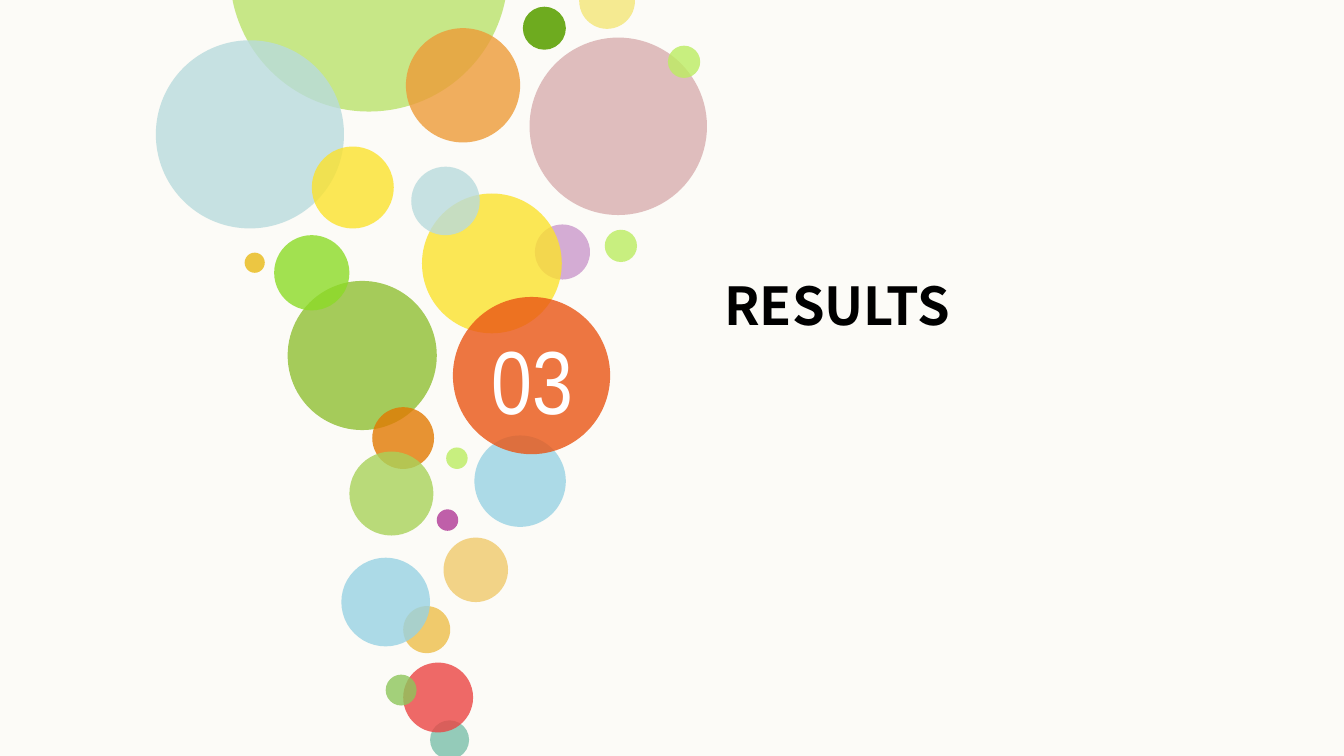
import pptx
import pptx.util
import pptx.dml.color
import pptx.enum.shapes
import pptx.enum.text
import pptx.oxml
import pptx.oxml.ns
import lxml.etree
from dataclasses import dataclass


@dataclass(frozen=True)
class Theme:
    background: str = "FCFBF7"
    title: str = "000000"
    number: str = "FFFFFF"
    lime: str = "BAE36B"
    light_lime: str = "BCED61"
    leaf: str = "6EAB1F"
    bright_green: str = "8CDB27"
    soft_green: str = "A9D25A"
    moss: str = "A5CB5A"
    fern: str = "8DC65B"
    teal: str = "7BBFAA"
    mist: str = "B9DBDD"
    sky: str = "98D2E3"
    apricot: str = "ED9B38"
    orange: str = "E27902"
    vermilion: str = "EA5514"
    red: str = "EB4544"
    cream: str = "F5EA91"
    yellow: str = "FBE22D"
    gold: str = "E9B915"
    sand: str = "F0CA6C"
    rose: str = "D8AEAF"
    lilac: str = "CB99CC"
    magenta: str = "B03896"
    opacity: int = 80
    title_size: int = 28
    number_size: int = 48
    title_font: str = "Noto Sans CJK SC"
    number_font: str = "Arial Narrow"


THEME = Theme()
WIDTH = pptx.util.Inches(10)
HEIGHT = WIDTH * 9 // 16
COLUMN = WIDTH / 100

BUBBLES = [
    (17.1, -12.4, 20.7, THEME.lime, THEME.opacity),
    (38.9, 0.5, 3.2, THEME.leaf, 100),
    (11.6, 3, 14, THEME.mist, THEME.opacity),
    (30.2, 2.1, 8.5, THEME.apricot, THEME.opacity),
    (43.1, -2, 4.15, THEME.cream, 100),
    (39.4, 2.8, 13.2, THEME.rose, THEME.opacity),
    (21.4, 20.9, 11.1, THEME.moss, 100),
    (49.7, 3.4, 2.4, THEME.light_lime, THEME.opacity),
    (45, 17.1, 2.4, THEME.light_lime, THEME.opacity),
    (39.8, 16.7, 4.1, THEME.lilac, THEME.opacity),
    (31.4, 14.4, 10.4, THEME.yellow, THEME.opacity),
    (23.2, 10.9, 6.1, THEME.yellow, THEME.opacity),
    (20.4, 17.5, 5.6, THEME.bright_green, THEME.opacity),
    (18.2, 18.8, 1.5, THEME.gold, THEME.opacity),
    (33.2, 33.3, 1.6, THEME.light_lime, THEME.opacity),
    (32.5, 37.9, 1.6, THEME.magenta, THEME.opacity),
    (33, 40, 4.8, THEME.sand, THEME.opacity),
    (30, 45.1, 3.5, THEME.sand, 100),
    (32, 53.6, 2.9, THEME.teal, THEME.opacity),
    (30, 49.3, 5.2, THEME.red, THEME.opacity),
    (28.7, 50.2, 2.3, THEME.fern, THEME.opacity),
    (25.4, 41.5, 6.6, THEME.sky, THEME.opacity),
    (30.6, 12.4, 5.1, THEME.mist, THEME.opacity),
    (35.3, 32.4, 6.8, THEME.sky, THEME.opacity),
    (27.7, 30.3, 4.6, THEME.orange, THEME.opacity),
    (26, 33.6, 6.25, THEME.soft_green, THEME.opacity),
    (33.7, 22.1, 11.7, THEME.vermilion, THEME.opacity),
]

LABELS = [
    ("03", (35.6, 24.2, 8, 8.1), THEME.number_font, THEME.number_size,
     THEME.number, False, pptx.enum.text.PP_ALIGN.CENTER),
    ("RESULTS", (53.9, 20.3, 30.4, 4.7), THEME.title_font, THEME.title_size,
     THEME.title, True, pptx.enum.text.PP_ALIGN.LEFT),
]


def place(*columns):
    return [round(value * COLUMN) for value in columns]


def rgb(color):
    return pptx.dml.color.RGBColor.from_string(color)


def add_bubble(slide, left, top, diameter, color, opacity):
    shape = slide.shapes.add_shape(
        pptx.enum.shapes.MSO_SHAPE.OVAL, *place(left, top, diameter, diameter))
    shape.shadow.inherit = False
    shape.line.fill.background()
    shape.fill.solid()
    shape.fill.fore_color.rgb = rgb(color)
    if opacity < 100:
        color_element = shape.element.spPr.find(".//" + pptx.oxml.ns.qn("a:srgbClr"))
        alpha = lxml.etree.SubElement(color_element, pptx.oxml.ns.qn("a:alpha"))
        alpha.set("val", str(opacity * 1000))


def add_label(slide, text, box, font, size, color, bold, alignment):
    frame = slide.shapes.add_textbox(*place(*box)).text_frame
    frame.word_wrap = True
    frame.auto_size = pptx.enum.text.MSO_AUTO_SIZE.SHAPE_TO_FIT_TEXT
    frame.margin_left = frame.margin_right = 0
    frame.margin_top = frame.margin_bottom = 0
    paragraph = frame.paragraphs[0]
    paragraph.alignment = alignment
    run = paragraph.add_run()
    run.text = text
    run.font.name = font
    run.font.size = pptx.util.Pt(size)
    run.font.bold = bold
    run.font.color.rgb = rgb(color)


def main():
    presentation = pptx.Presentation()
    presentation.slide_width = WIDTH
    presentation.slide_height = HEIGHT
    slide = presentation.slides.add_slide(presentation.slide_layouts[6])
    slide.background.fill.solid()
    slide.background.fill.fore_color.rgb = rgb(THEME.background)
    for bubble in BUBBLES:
        add_bubble(slide, *bubble)
    for label in LABELS:
        add_label(slide, *label)
    presentation.save("out.pptx")


if __name__ == "__main__":
    main()
